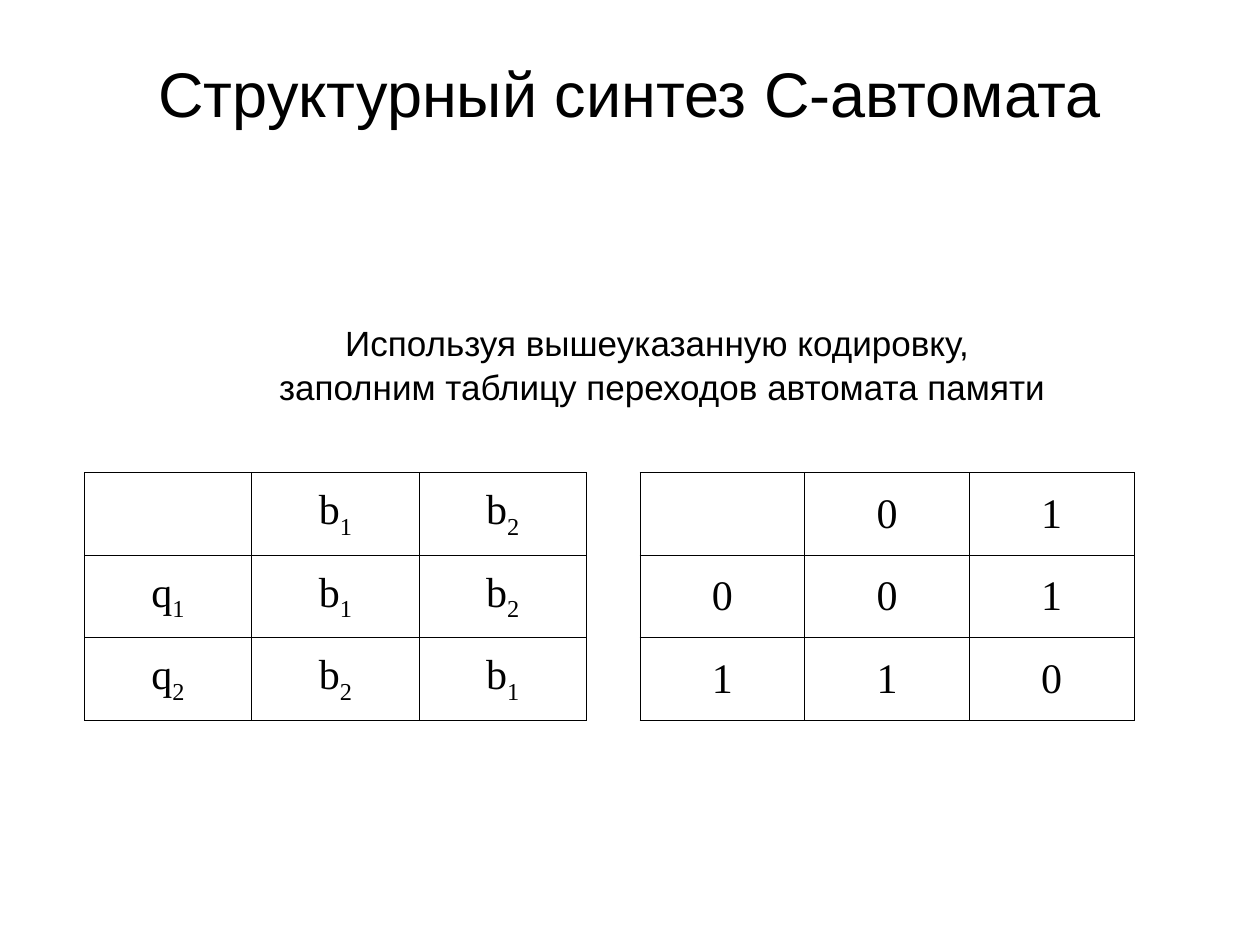
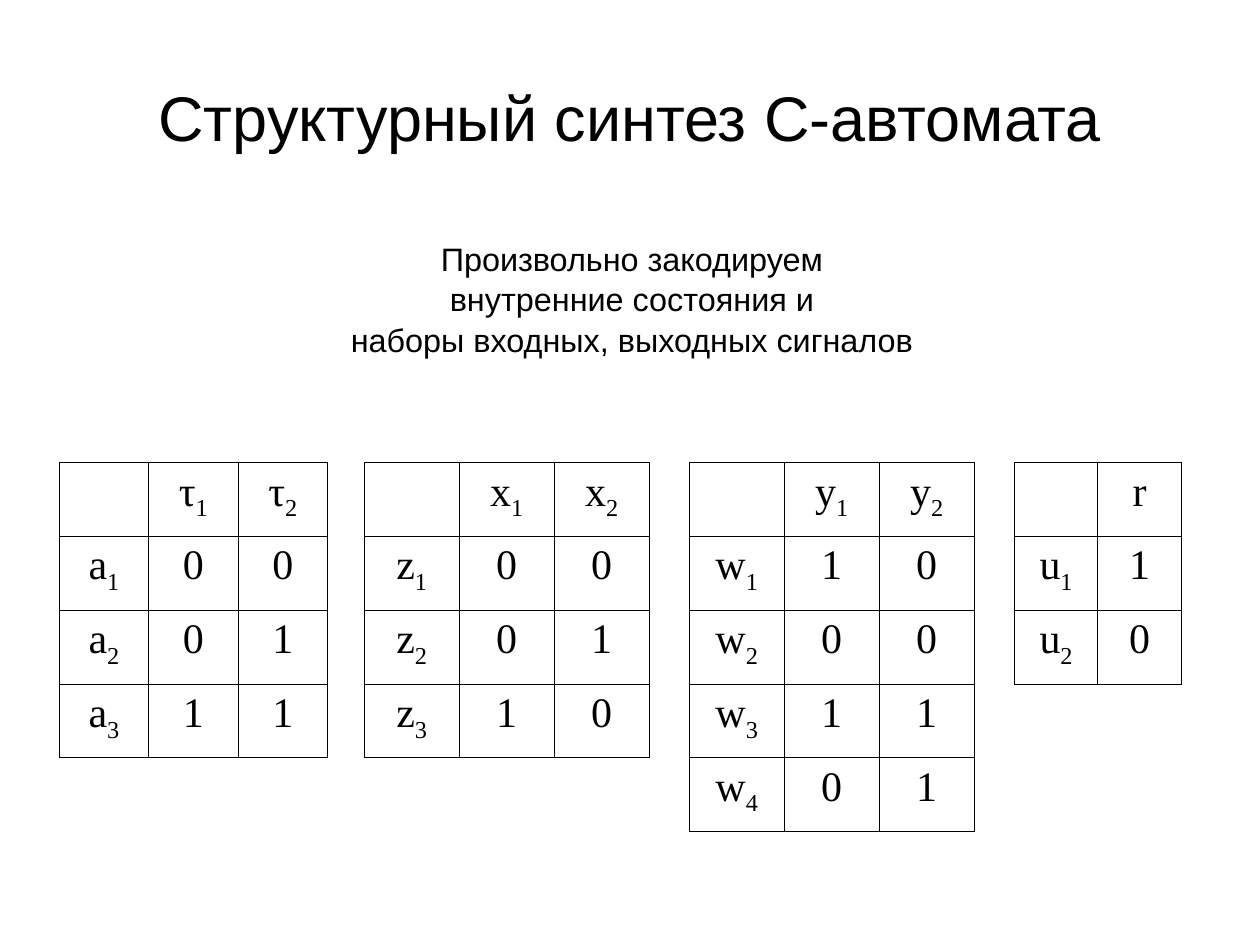
import pptx
import pptx.dml.color
import pptx.enum.text
import pptx.util
from lxml import etree
from pptx.oxml.ns import qn

BLACK = pptx.dml.color.RGBColor(0x00, 0x00, 0x00)
TITLE_FONT = "Arial"
TABLE_FONT = "Times New Roman"
TITLE = "Структурный синтез С-автомата"
TITLE_ONLY_LAYOUT = 5

SLIDE_WIDTH = pptx.util.Inches(10)
SLIDE_HEIGHT = pptx.util.Inches(7.5)
GRID_COLUMNS, GRID_ROWS = 100, 75

MIDDLE = pptx.enum.text.MSO_ANCHOR.MIDDLE
TOP = pptx.enum.text.MSO_ANCHOR.TOP
CENTER = pptx.enum.text.PP_ALIGN.CENTER

TRANSITIONS = [["", "b1", "b2"], ["q1", "b1", "b2"], ["q2", "b2", "b1"]]
CODED_TRANSITIONS = [["", "0", "1"], ["0", "0", "1"], ["1", "1", "0"]]

STATE_CODES = [["", "τ1", "τ2"], ["а1", "0", "0"], ["a2", "0", "1"], ["a3", "1", "1"]]
INPUT_CODES = [["", "x1", "x2"], ["z1", "0", "0"], ["z2", "0", "1"], ["z3", "1", "0"]]
OUTPUT_CODES = [["", "y1", "y2"], ["w1", "1", "0"], ["w2", "0", "0"],
                ["w3", "1", "1"], ["w4", "0", "1"]]
MEMORY_CODES = [["", "r"], ["u1", "1"], ["u2", "0"]]


def across(columns):
    return int(SLIDE_WIDTH * columns / GRID_COLUMNS)


def down(rows):
    return int(SLIDE_HEIGHT * rows / GRID_ROWS)


def add_run(paragraph, text, font_name, size):
    run = paragraph.add_run()
    run.text = text
    run.font.name = font_name
    run.font.size = pptx.util.Pt(size)
    run.font.color.rgb = BLACK
    return run


def add_titled_slide(deck, title_height):
    slide = deck.slides.add_slide(deck.slide_layouts[TITLE_ONLY_LAYOUT])
    title = slide.shapes.title
    title.left, title.top = across(5), down(3)
    title.width, title.height = across(90), down(title_height)
    title.text_frame.vertical_anchor = MIDDLE
    heading = title.text_frame.paragraphs[0]
    heading.alignment = CENTER
    add_run(heading, TITLE, TITLE_FONT, 36)
    return slide


def add_explanation(slide, box, lines, size, anchor):
    left, top, width, height = box
    explanation = slide.shapes.add_textbox(
        across(left), down(top), across(width), down(height)).text_frame
    explanation.word_wrap = True
    explanation.vertical_anchor = anchor
    for number, line in enumerate(lines):
        paragraph = explanation.add_paragraph() if number else explanation.paragraphs[0]
        paragraph.alignment = CENTER
        paragraph.line_spacing = 1.05
        add_run(paragraph, line, TITLE_FONT, size)


def draw_borders(cell):
    properties = cell._tc.get_or_add_tcPr()
    for side in ("a:lnL", "a:lnR", "a:lnT", "a:lnB"):
        border = etree.SubElement(properties, qn(side), w=str(pptx.util.Pt(0.45)))
        fill = etree.SubElement(border, qn("a:solidFill"))
        etree.SubElement(fill, qn("a:srgbClr"), val=str(BLACK))


def fill_cell(cell, entry, anchor):
    """Write an entry as its first symbol followed by a subscript index."""
    draw_borders(cell)
    cell.fill.background()
    cell.vertical_anchor = anchor
    cell.margin_left = cell.margin_right = pptx.util.Inches(0.07)
    paragraph = cell.text_frame.paragraphs[0]
    paragraph.alignment = CENTER
    symbol, index = entry[:1], entry[1:]
    if symbol:
        add_run(paragraph, symbol, TABLE_FONT, 24)
    if index:
        subscript = add_run(paragraph, index, TABLE_FONT, 24)
        subscript.font._element.set("baseline", "-25000")


def add_code_table(slide, left, top, cell_width, cell_height, entries, anchor):
    row_count, column_count = len(entries), len(entries[0])
    table = slide.shapes.add_table(
        row_count, column_count, across(left), down(top),
        across(cell_width * column_count), down(cell_height * row_count)).table
    table.first_row = table.horz_banding = False
    for column in table.columns:
        column.width = across(cell_width)
    for row, row_entries in zip(table.rows, entries):
        row.height = down(cell_height)
        for cell, entry in zip(row.cells, row_entries):
            fill_cell(cell, entry, anchor)


def add_transitions_slide(deck):
    slide = add_titled_slide(deck, 8.7)
    add_code_table(slide, 50.8, 37.5, 13.07, 6.56, CODED_TRANSITIONS, MIDDLE)
    add_explanation(slide, (5.1, 25, 94.9, 7.7),
                    ["Используя вышеуказанную кодировку, ",
                     "заполним таблицу переходов автомата памяти"], 20, MIDDLE)
    add_code_table(slide, 6.7, 37.5, 13.28, 6.56, TRANSITIONS, MIDDLE)


def add_encoding_slide(deck):
    slide = add_titled_slide(deck, 12.5)
    add_explanation(slide, (5.5, 18.3, 90, 10.6),
                    ["Произвольно закодируем ",
                     "внутренние состояния и ",
                     "наборы входных, выходных сигналов "], 18.5, TOP)
    for left, cell_width, codes in ((4.7, 7.1, STATE_CODES),
                                    (28.9, 7.54, INPUT_CODES),
                                    (54.7, 7.54, OUTPUT_CODES),
                                    (80.5, 6.63, MEMORY_CODES)):
        add_code_table(slide, left, 36.7, cell_width, 5.86, codes, TOP)


def main():
    deck = pptx.Presentation()
    deck.slide_width, deck.slide_height = SLIDE_WIDTH, SLIDE_HEIGHT
    add_transitions_slide(deck)
    add_encoding_slide(deck)
    deck.save("out.pptx")


if __name__ == "__main__":
    main()
